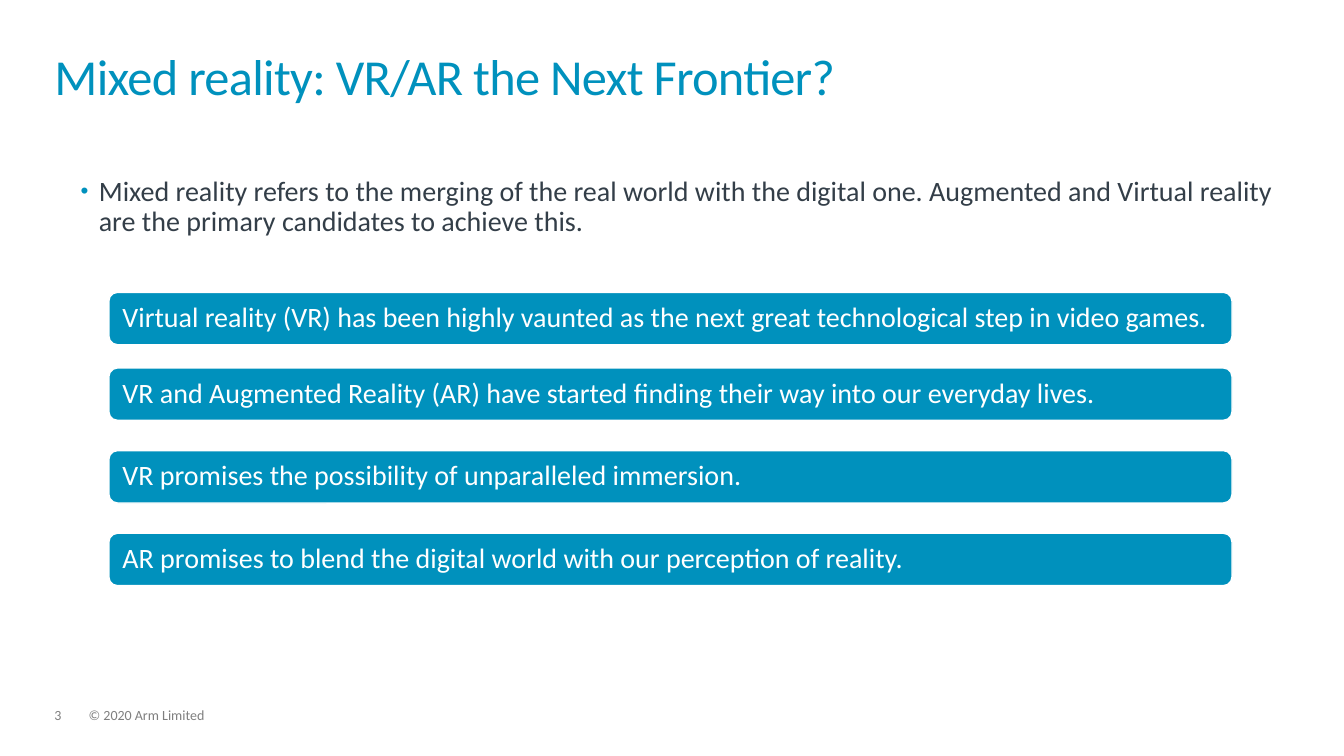
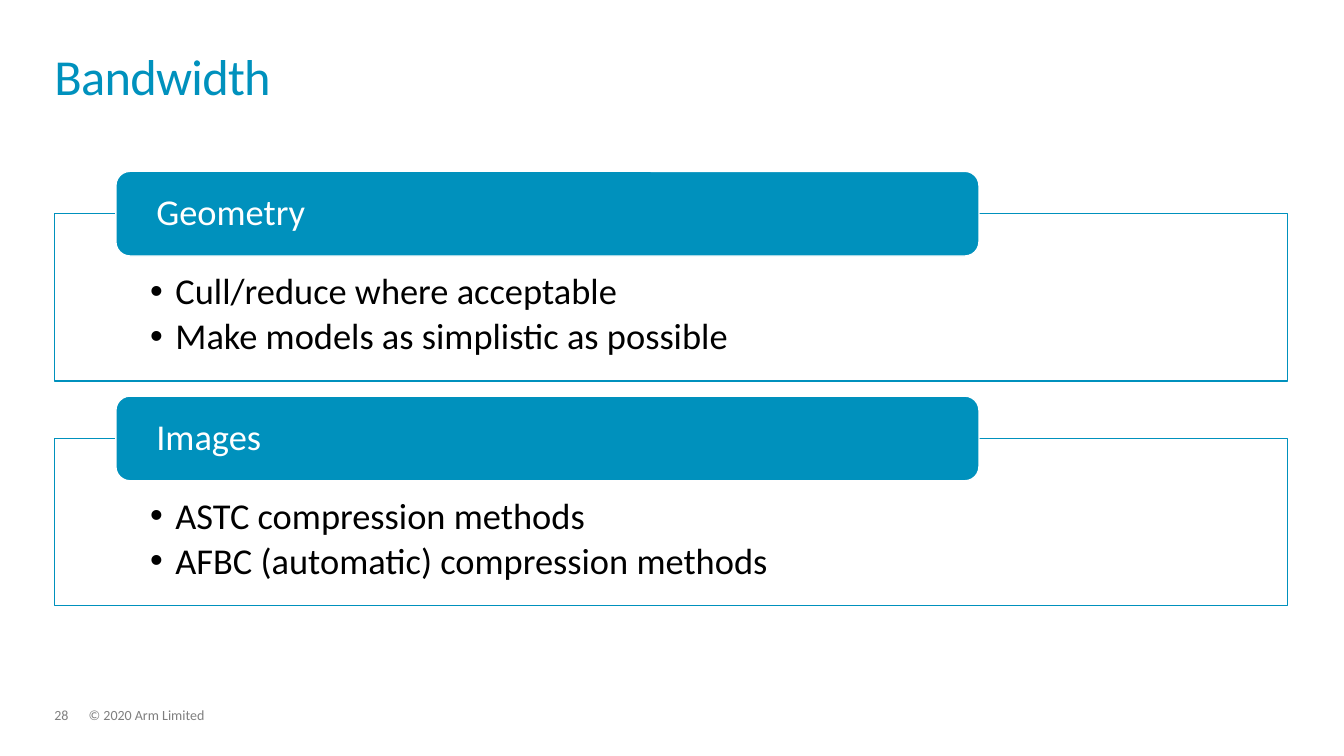
from dataclasses import dataclass
from typing import Optional

from lxml.etree import SubElement
from pptx import Presentation
from pptx.dml.color import RGBColor
from pptx.enum.shapes import MSO_SHAPE
from pptx.enum.text import MSO_ANCHOR, MSO_AUTO_SIZE, PP_ALIGN
from pptx.oxml.ns import qn
from pptx.util import Inches, Pt

FONT = "Calibri"
BLUE = RGBColor(0x00, 0x91, 0xBD)
SLATE = RGBColor(0x33, 0x3E, 0x48)
GREY = RGBColor(0x7F, 0x7F, 0x7F)
BLACK = RGBColor(0x00, 0x00, 0x00)
WHITE = RGBColor(0xFF, 0xFF, 0xFF)

LEFT, CONTENT_WIDTH = 0.54, 12.23
COPYRIGHT = "© 2020 Arm Limited"


@dataclass(frozen=True)
class Area:
    left: float
    top: float
    width: float
    height: float

    def lengths(self):
        return [Inches(n) for n in (self.left, self.top, self.width, self.height)]


@dataclass(frozen=True)
class TextStyle:
    size: float
    color: RGBColor
    line_spacing: float = 0.9
    space_after: float = 0
    anchor: MSO_ANCHOR = MSO_ANCHOR.TOP
    insets: tuple = (0, 0, 0, 0)
    indent: float = 0
    hanging: float = 0
    bullet_color: Optional[RGBColor] = None
    bullet_percent: int = 100


@dataclass(frozen=True)
class Bar:
    top: float
    text: str


@dataclass(frozen=True)
class Panel:
    heading: str
    points: tuple


TITLE = TextStyle(36, BLUE, line_spacing=0.85, anchor=MSO_ANCHOR.BOTTOM)
FOOTER = TextStyle(10, GREY)
INTRO = TextStyle(20, SLATE, indent=0.44, hanging=0.18,
                  bullet_color=BLUE, bullet_percent=80)
BAR = TextStyle(20, WHITE, anchor=MSO_ANCHOR.MIDDLE, insets=(0.11, 0.1, 0.11, 0.1))
HEADING = TextStyle(26, WHITE, anchor=MSO_ANCHOR.MIDDLE, insets=(0.36, 0.04, 0.36, 0.04))
POINTS = TextStyle(26, BLACK, space_after=4, insets=(0.95, 0.59, 0.95, 0.2),
                   indent=0.25, hanging=0.25, bullet_color=BLACK)

INTRO_TEXT = ("Mixed reality refers to the merging of the real world with the digital one. "
              "Augmented and Virtual reality are the primary candidates to achieve this.")
BARS = (
    Bar(2.9, "Virtual reality (VR) has been highly vaunted as the next great "
             "technological step in video games."),
    Bar(3.65, "VR and Augmented Reality (AR) have started finding their way "
              "into our everyday lives."),
    Bar(4.47, "VR promises the possibility of unparalleled immersion."),
    Bar(5.29, "AR promises to blend the digital world with our perception of reality."),
)
PANELS = (
    Panel("Geometry", ("Cull/reduce where acceptable",
                       "Make models as simplistic as possible")),
    Panel("Images", ("ASTC compression methods",
                     "AFBC (automatic) compression methods")),
)
PANEL_TOP, PANEL_STEP = 2.12, 2.23


def add_bullet(paragraph, style: TextStyle) -> None:
    properties = paragraph._p.get_or_add_pPr()
    properties.set("marL", str(Inches(style.indent)))
    properties.set("indent", str(-Inches(style.hanging)))
    color = SubElement(properties, qn("a:buClr"))
    SubElement(color, qn("a:srgbClr"), val=str(style.bullet_color))
    SubElement(properties, qn("a:buSzPct"), val=str(style.bullet_percent * 1000))
    SubElement(properties, qn("a:buFont"), typeface="Arial")
    SubElement(properties, qn("a:buChar"), char="•")


def write(shape, lines: tuple, style: TextStyle) -> None:
    """Fill a shape, text box or placeholder with styled paragraphs."""
    frame = shape.text_frame
    frame.word_wrap = True
    frame.auto_size = MSO_AUTO_SIZE.NONE
    frame.vertical_anchor = style.anchor
    (frame.margin_left, frame.margin_top,
     frame.margin_right, frame.margin_bottom) = [Inches(n) for n in style.insets]
    frame.text = "\n".join(lines)
    for paragraph in frame.paragraphs:
        if style.bullet_color is not None:
            add_bullet(paragraph, style)
        paragraph.alignment = PP_ALIGN.LEFT
        paragraph.line_spacing = style.line_spacing
        paragraph.space_before = Pt(0)
        paragraph.space_after = Pt(style.space_after)
        paragraph.font.name = FONT
        paragraph.font.size = Pt(style.size)
        paragraph.font.color.rgb = style.color


def add_text(page, area: Area, text: str, style: TextStyle) -> None:
    write(page.shapes.add_textbox(*area.lengths()), (text,), style)


def add_box(page, kind: MSO_SHAPE, area: Area, fill: RGBColor, line: RGBColor,
            lines: tuple, style: TextStyle) -> None:
    box = page.shapes.add_shape(kind, *area.lengths())
    box.shadow.inherit = False
    box.fill.solid()
    box.fill.fore_color.rgb = fill
    box.line.color.rgb = line
    box.line.width = Pt(1)
    write(box, lines, style)


def add_page(deck, title: str, number: int):
    """Add a slide with the shared title and footer."""
    page = deck.slides.add_slide(deck.slide_layouts[5])
    heading = page.shapes.title
    heading.left, heading.top, heading.width, heading.height = Area(
        LEFT, 0.32, CONTENT_WIDTH, 0.73).lengths()
    write(heading, (title,), TITLE)
    for span in heading.text_frame.paragraphs[0].runs:
        span._r.get_or_add_rPr().set("spc", "-50")
    add_text(page, Area(LEFT, 7.03, 0.34, 0.15), str(number), FOOTER)
    add_text(page, Area(0.88, 7.03, 9.13, 0.15), COPYRIGHT, FOOTER)
    return page


def build_mixed_reality(deck) -> None:
    page = add_page(deck, "Mixed reality: VR/AR the Next Frontier?", 3)
    add_text(page, Area(LEFT, 1.76, CONTENT_WIDTH, 0.7), INTRO_TEXT, INTRO)
    for bar in BARS:
        add_box(page, MSO_SHAPE.ROUNDED_RECTANGLE, Area(1.08, bar.top, 11.14, 0.52),
                BLUE, WHITE, (bar.text,), BAR)


def build_bandwidth(deck) -> None:
    page = add_page(deck, "Bandwidth", 28)
    for index, panel in enumerate(PANELS):
        top = PANEL_TOP + index * PANEL_STEP
        add_box(page, MSO_SHAPE.RECTANGLE, Area(LEFT, top, CONTENT_WIDTH, 1.66),
                WHITE, BLUE, panel.points, POINTS)
        # The heading straddles the panel's top edge
        add_box(page, MSO_SHAPE.ROUNDED_RECTANGLE, Area(1.15, top - 0.42, 8.56, 0.84),
                BLUE, WHITE, (panel.heading,), HEADING)


def main() -> None:
    deck = Presentation()
    deck.slide_width, deck.slide_height = Inches(13.33), Inches(7.5)
    build_mixed_reality(deck)
    build_bandwidth(deck)
    deck.save("out.pptx")


if __name__ == "__main__":
    main()
